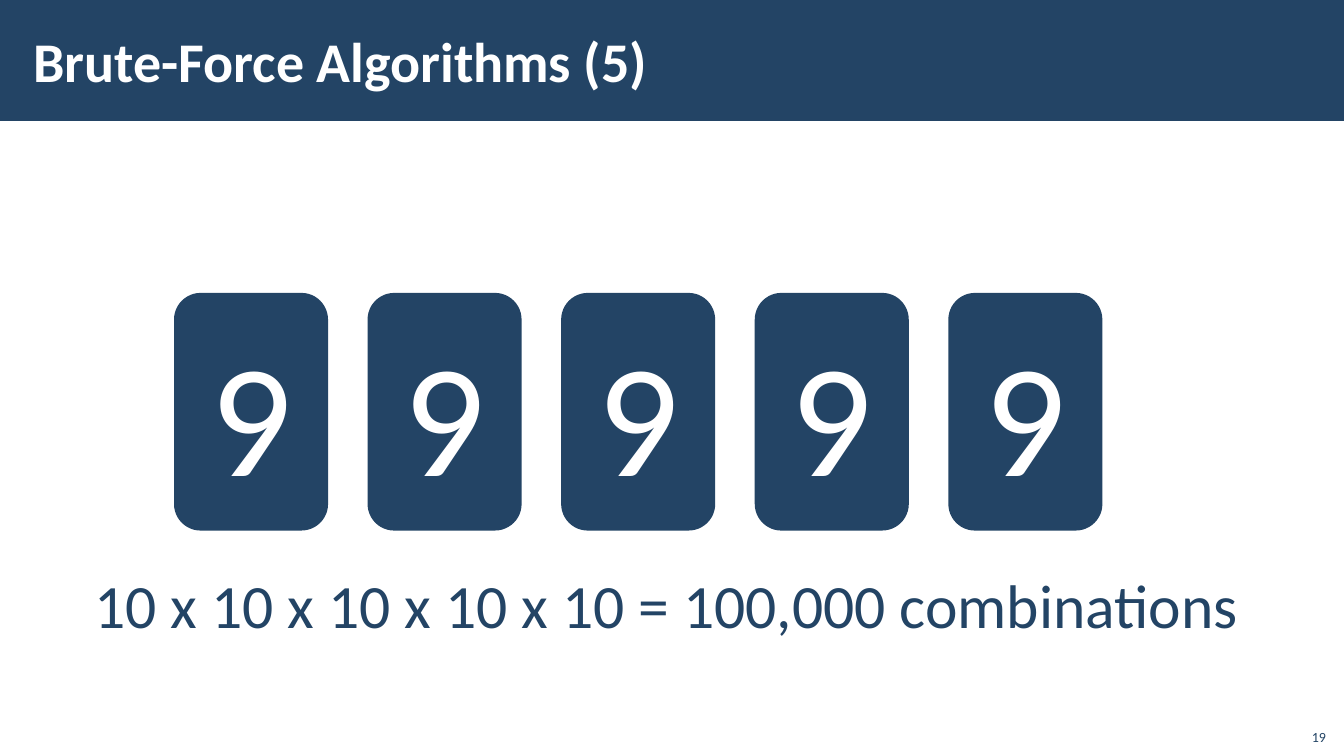
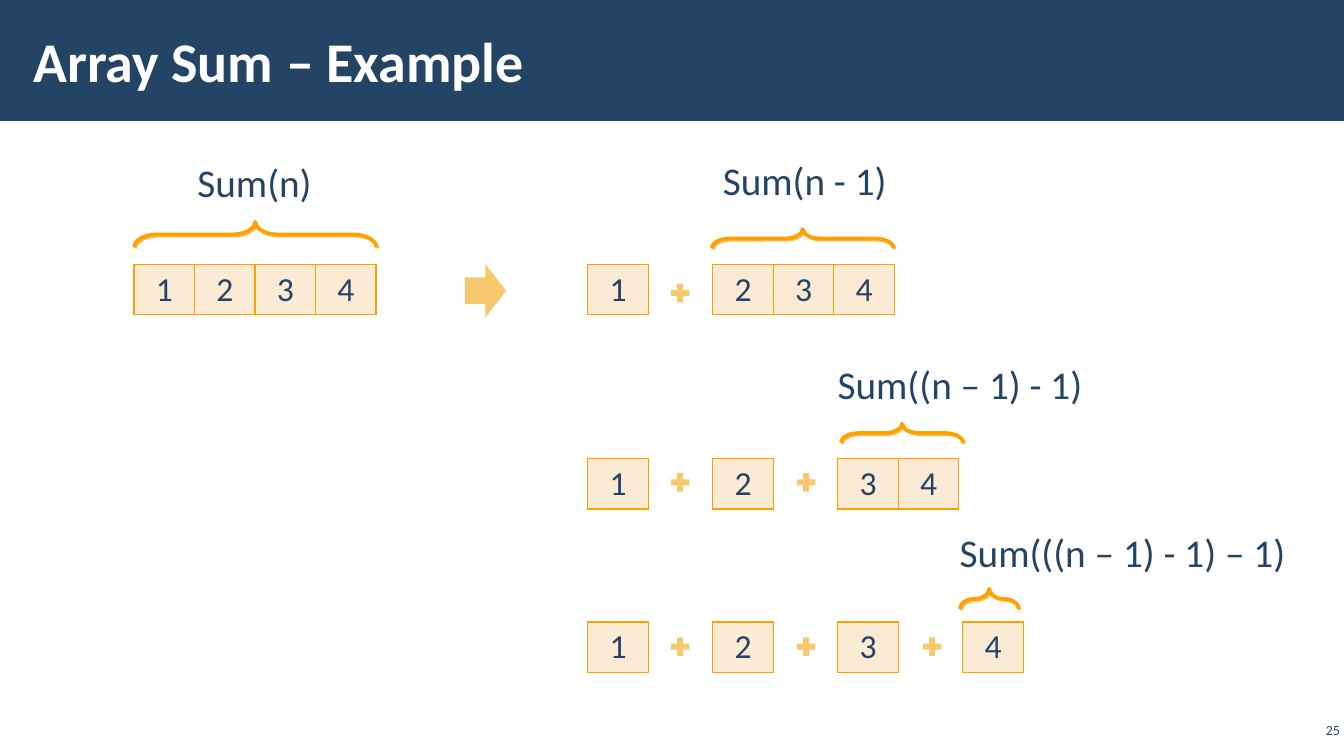
from pptx import Presentation
from pptx.dml.color import RGBColor
from pptx.enum.shapes import MSO_SHAPE
from pptx.enum.text import MSO_ANCHOR, MSO_AUTO_SIZE, PP_ALIGN
from pptx.oxml import parse_xml
from pptx.oxml.ns import nsdecls
from pptx.util import Inches, Pt

NAVY = RGBColor(0x23, 0x44, 0x65)
WHITE = RGBColor(0xFF, 0xFF, 0xFF)
GOLD = RGBColor(0xF7, 0xC8, 0x6D)
CREAM = RGBColor(0xFC, 0xEB, 0xD4)
AMBER = RGBColor(0xFF, 0xA0, 0x00)
GLOW = RGBColor(0xFF, 0xB8, 0x40)
FONT = "Calibri"

DIGITS = "99999"
TOTAL = "10 x 10 x 10 x 10 x 10 = 100,000 combinations"
CARD = {"left": 1.74, "top": 2.92, "width": 1.5, "height": 2.33, "step": 1.92}

CELL_W, CELL_H = 0.6, 0.5
START = (1.33, 2.62, "1234")
LEFT, STEP = 5.83, 1.24
PLUS, PLUS_STEP, PLUS_SIZE = 6.62, 1.25, 0.25
ROWS = [
    {"top": 2.62, "plus": 2.78, "groups": ["1", "234"]},
    {"top": 4.55, "plus": 4.66, "groups": ["1", "2", "34"]},
    {"top": 6.17, "plus": 6.29, "groups": ["1", "2", "3", "4"]},
]
CALLS = [
    ("Sum(n)", (1.86, 1.52, 1.35, 0.57), (1.33, 2.2, 2.4, 0.25)),
    ("Sum(n - 1)", (7.07, 1.5, 1.85, 0.57), (7.06, 2.27, 1.8, 0.19)),
    ("Sum((n – 1) - 1)", (8.21, 3.53, 2.66, 0.57), (8.34, 4.2, 1.21, 0.19)),
    ("Sum(((n – 1) - 1) – 1)", (9.42, 5.19, 3.59, 0.57), (9.52, 5.84, 0.58, 0.2)),
]


def write(frame, text, size, color=NAVY, align=PP_ALIGN.LEFT, bold=False):
    """Put one styled run in a text frame."""
    para = frame.paragraphs[0]
    para.alignment = align
    run = para.add_run()
    run.text = text
    font = run.font
    font.name, font.size, font.bold = FONT, Pt(size), bold
    font.color.rgb = color


def label(slide, box, text, size, anchor=MSO_ANCHOR.TOP, wrap=False, pad=None, **style):
    """Add a text box that grows unless it wraps."""
    frame = slide.shapes.add_textbox(*map(Inches, box)).text_frame
    frame.word_wrap = wrap
    frame.auto_size = MSO_AUTO_SIZE.NONE if wrap else MSO_AUTO_SIZE.SHAPE_TO_FIT_TEXT
    frame.vertical_anchor = anchor
    if pad:
        frame.margin_left = frame.margin_right = Inches(pad[0])
        frame.margin_top = frame.margin_bottom = Inches(pad[1])
    write(frame, text, size, **style)


def block(slide, kind, box, fill, line=None):
    """Add a flat filled shape."""
    shape = slide.shapes.add_shape(kind, *map(Inches, box))
    shape.shadow.inherit = False
    shape.fill.solid()
    shape.fill.fore_color.rgb = fill
    if line:
        shape.line.color.rgb = line
        shape.line.width = Pt(2)
    else:
        shape.line.fill.background()
    return shape


def brace(slide, left, top, span, depth):
    """Add an upward brace over a span."""
    x = left + (span - depth) / 2
    y = top + (depth - span) / 2
    shape = slide.shapes.add_shape(
        MSO_SHAPE.LEFT_BRACE, Inches(x), Inches(y), Inches(depth), Inches(span))
    shape.rotation = 90
    shape.adjustments[0] = 0.92
    shape.fill.background()
    shape.line.color.rgb = AMBER
    shape.line.width = Pt(2.5)
    shape.shadow.inherit = False
    shape.element.spPr.find("{*}effectLst").append(parse_xml(
        f'<a:outerShdw {nsdecls("a")} blurRad="0" dist="{Pt(1.4)}" dir="2700000" '
        f'rotWithShape="0"><a:srgbClr val="{GLOW}"/></a:outerShdw>'))


def array(slide, left, top, items):
    """Add a one-row table of array items."""
    grid = slide.shapes.add_table(
        1, len(items), Inches(left), Inches(top),
        Inches(CELL_W * len(items)), Inches(CELL_H)).table
    grid.first_row = grid.horz_banding = False
    for col, item in enumerate(items):
        grid.columns[col].width = Inches(CELL_W)
        cell = grid.cell(0, col)
        props = cell._tc.get_or_add_tcPr()
        for side in "LRTB":
            props.append(parse_xml(
                f'<a:ln{side} {nsdecls("a")} w="{Pt(1)}"><a:solidFill>'
                f'<a:srgbClr val="{AMBER}"/></a:solidFill></a:ln{side}>'))
        cell.fill.solid()
        cell.fill.fore_color.rgb = CREAM
        write(cell.text_frame, item, 24, align=PP_ALIGN.CENTER)


def start(deck, title, number, box, anchor, pad):
    """Add a slide with band, title and page number."""
    slide = deck.slides.add_slide(deck.slide_layouts[6])
    block(slide, MSO_SHAPE.RECTANGLE, (0, 0, 13.33, 1.2), NAVY)
    label(slide, (0.21, 0.11, 10.39, 0.97), title, 40, MSO_ANCHOR.MIDDLE, True,
          (0.12, 0.04), color=WHITE, bold=True)
    label(slide, box, number, 10, anchor, True, pad, align=PP_ALIGN.RIGHT)
    return slide


def brute(deck):
    """Build the brute-force slide."""
    slide = start(deck, "Brute-Force Algorithms (5)", "19",
                  (12.85, 7.12, 0.4, 0.32), MSO_ANCHOR.BOTTOM, (0.1, 0.05))
    for pos, digit in enumerate(DIGITS):
        box = (CARD["left"] + pos * CARD["step"], CARD["top"], CARD["width"], CARD["height"])
        card = block(slide, MSO_SHAPE.ROUNDED_RECTANGLE, box, NAVY, NAVY)
        card.text_frame.vertical_anchor = MSO_ANCHOR.MIDDLE
        write(card.text_frame, digit, 115, WHITE, PP_ALIGN.CENTER)
    label(slide, (0.84, 5.58, 11.66, 0.84), TOTAL, 44)


def sums(deck):
    """Build the array sum slide."""
    slide = start(deck, "Array Sum – Example", "25",
                  (12.86, 7.13, 0.47, 0.22), MSO_ANCHOR.MIDDLE, (0.04, 0.04))
    block(slide, MSO_SHAPE.RIGHT_ARROW, (4.61, 2.62, 0.41, 0.53), GOLD)
    for text, box, span in CALLS:
        label(slide, box, text, 28)
        brace(slide, *span)
    array(slide, *START)
    for row in ROWS:
        for pos, items in enumerate(row["groups"]):
            array(slide, LEFT + pos * STEP, row["top"], items)
        for pos in range(len(row["groups"]) - 1):
            box = (PLUS + pos * PLUS_STEP, row["plus"], PLUS_SIZE, PLUS_SIZE)
            block(slide, MSO_SHAPE.MATH_PLUS, box, GOLD)


def main():
    """Build and save the deck."""
    deck = Presentation()
    deck.slide_width, deck.slide_height = Inches(13.33), Inches(7.5)
    brute(deck)
    sums(deck)
    deck.save("out.pptx")


if __name__ == "__main__":
    main()
